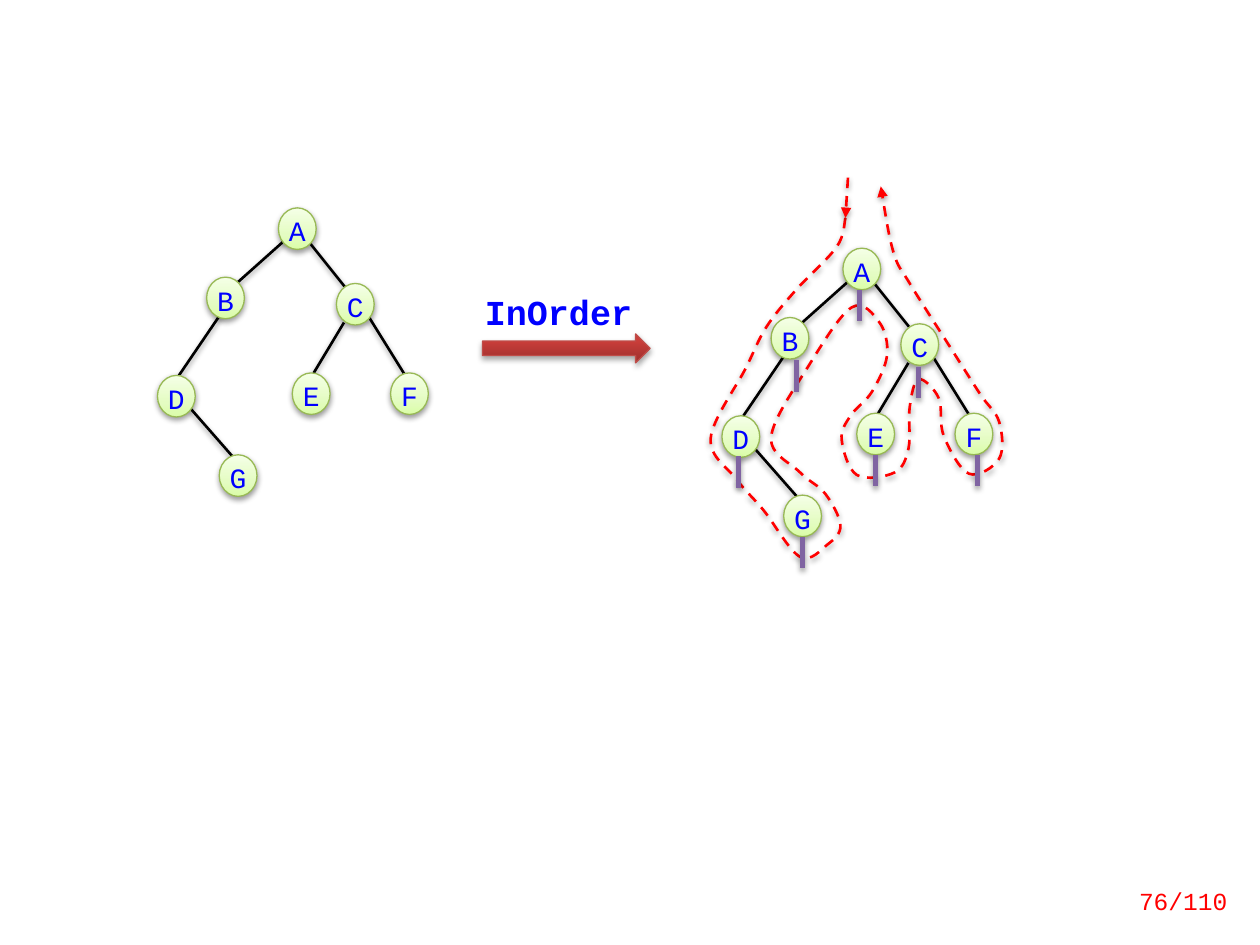
"""Build a slide that shows the inorder walk of a binary tree."""
from copy import deepcopy

from lxml import etree
from pptx import Presentation
from pptx import util as u
from pptx.dml.color import RGBColor
from pptx.enum import dml, shapes, text
from pptx.oxml import parse_xml
from pptx.oxml.ns import nsdecls, qn

UNIT = u.Inches(0.1)
COLS, ROWS = 100, 75
FONT = "Courier New"
BLACK = RGBColor(0, 0, 0)
BLUE = RGBColor(0, 0, 255)
RED = RGBColor(255, 0, 0)
PURPLE = RGBColor(0x80, 0x64, 0xA2)
LIME = RGBColor(0x98, 0xB9, 0x55)
BRICK = RGBColor(0xBF, 0x4C, 0x48)
LIMES = [(0, RGBColor(0xDA, 0xFD, 0xA7)), (0.35, RGBColor(0xE4, 0xFC, 0xC2)),
         (1, RGBColor(0xF5, 0xFF, 0xE7))]
BRICKS = [(0, RGBColor(0x9C, 0x2F, 0x2D)), (0.8, RGBColor(0xCB, 0x3E, 0x3A)),
          (1, RGBColor(0xCE, 0x3B, 0x37))]

NODES = {"A": (22.1, 16.5), "B": (16.4, 22), "C": (26.7, 22.5), "D": (12.5, 29.8),
         "E": (23.2, 29.6), "F": (31, 29.6), "G": (17.4, 36.1)}
EDGES = [(27.3, 25.6, 24.9, 29.6), (15.1, 32.4, 18.7, 36.5),
         (29.3, 25.2, 32.1, 29.7), (17.6, 24.8, 14.2, 29.8),
         (23.8, 18, 18.2, 23), (24.6, 19.3, 27.4, 22.8)]
SHIFT = (44.8, 3.2)
TICKS = [(68.2, 23), (63.2, 28.6), (58.6, 36.2), (63.7, 42.6),
         (69.5, 36.1), (77.6, 36.1), (72.9, 29.1)]
WALK = [(67.1, 17.3), (66.4, 19.6), (63.1, 23.1), (60.8, 26), (59.2, 29.2),
        (56.4, 34.8), (58.5, 38.1), (60.6, 40.5), (63.5, 44.2), (65.7, 43.2),
        (66.7, 41.7), (65.5, 39.2), (63.5, 37.5), (61.2, 34.7), (64.2, 29),
        (67.6, 24.4), (69.8, 25.6), (70.4, 28.2), (69.2, 31.1), (67.5, 33),
        (66.8, 34.9), (68, 37.7), (71, 37.5), (72.1, 35.6), (72.2, 32.3),
        (72.9, 30.1), (74.5, 31.6), (74.9, 34.6), (76.9, 37.6), (79.3, 36.4),
        (79.3, 33.5), (77.8, 31.3), (75.5, 27.7), (72.2, 22.5), (70.9, 20),
        (69.9, 14.8)]


def grid(*vals):
    """Turn grid counts into slide lengths."""
    return [round(val * UNIT) for val in vals]


def shade(item, alpha=38, dist=20000):
    """Give an item a soft shadow that falls downwards."""
    item._element.spPr.append(parse_xml(
        f'<a:effectLst {nsdecls("a")}><a:outerShdw blurRad="40000" dist="{dist}" '
        f'dir="5400000" rotWithShape="0"><a:srgbClr val="000000">'
        f'<a:alpha val="{alpha * 1000}"/></a:srgbClr></a:outerShdw></a:effectLst>'))


def stroke(item, color, width, dash=False, head=False):
    """Set colour, width, dash and arrowhead of a line."""
    line = item.line
    line.color.rgb, line.width = color, u.Pt(width)
    if dash:
        line.dash_style = dml.MSO_LINE.DASH
    if head:
        tip = etree.SubElement(item._element.spPr.find(qn("a:ln")), qn("a:tailEnd"))
        tip.set("type", "triangle")


def blend(item, stops):
    """Fill a shape with a gradient of three stops that runs upwards."""
    fill = item.fill
    fill.gradient()
    fill.gradient_angle = 90
    first = item._element.spPr.find(".//" + qn("a:gs"))
    first.addnext(deepcopy(first))
    for stop, (place, color) in zip(fill.gradient_stops, stops):
        stop.position, stop.color.rgb = place, color


def write(frame, words, size, color, align, bold=False):
    """Put one formatted line of text into a frame."""
    frame.text = words
    para = frame.paragraphs[0]
    para.alignment = align
    font = para.runs[0].font
    font.name, font.size, font.bold = FONT, u.Pt(size), bold
    font.color.rgb = color


def link(group, ends, *style):
    """Draw a straight line between two grid points."""
    line = group.shapes.add_connector(shapes.MSO_CONNECTOR.STRAIGHT, *grid(*ends))
    stroke(line, *style)
    shade(line)


def node(group, name, left, top):
    """Draw one lettered tree node."""
    ball = group.shapes.add_shape(shapes.MSO_SHAPE.OVAL, *grid(left, top, 3, 3.3))
    blend(ball, LIMES)
    stroke(ball, LIME, 0.75)
    shade(ball)
    frame = ball.text_frame
    frame.margin_left = frame.margin_right = frame.margin_top = frame.margin_bottom = 0
    frame.vertical_anchor = text.MSO_ANCHOR.TOP
    write(frame, name, 16, BLUE, text.PP_ALIGN.CENTER)


def tree(slide, right=0, down=0):
    """Draw the whole tree, moved by a number of columns and rows."""
    group = slide.shapes.add_group_shape()
    for x1, y1, x2, y2 in EDGES:
        link(group, (x1 + right, y1 + down, x2 + right, y2 + down), BLACK, 1.5)
    for name, (left, top) in NODES.items():
        node(group, name, left + right, top + down)
    return group


def curve(group, spots):
    """Draw a dashed smooth curve through the grid points."""
    spots = [grid(*spot) for spot in spots]
    build = group.shapes.build_freeform(*spots[0])
    build.add_line_segments(spots[1:], close=False)
    item = build.convert_to_shape()
    item.fill.background()
    stroke(item, RED, 1.5, True, True)
    shade(item)
    full = [spots[0], *spots, spots[-1]]
    parts = list(item._element.iter(qn("a:lnTo")))
    for part, a, b, c, d in zip(parts, full, full[1:], full[2:], full[3:]):
        bend = etree.Element(qn("a:cubicBezTo"))
        near = [q + (r - p) / 6 for p, q, r in zip(a, b, c)]
        far = [q - (r - p) / 6 for p, q, r in zip(b, c, d)]
        for x, y in (near, far, c):
            etree.SubElement(bend, qn("a:pt"), x=str(round(x - item.left)),
                             y=str(round(y - item.top)))
        part.getparent().replace(part, bend)


def arrow(slide):
    """Draw the block arrow between the trees."""
    item = slide.shapes.add_shape(shapes.MSO_SHAPE.RIGHT_ARROW,
                                  *grid(38.3, 26.5, 13.3, 2.3))
    blend(item, BRICKS)
    stroke(item, BRICK, 0.75)
    shade(item, 35, 23000)


def label(slide, spot, *style):
    """Add a text box and return its frame."""
    frame = slide.shapes.add_textbox(*grid(*spot)).text_frame
    frame.word_wrap = True
    write(frame, *style)
    return frame


def main():
    """Build and save the slide."""
    deck = Presentation()
    deck.slide_width, deck.slide_height = grid(COLS, ROWS)
    slide = deck.slides.add_slide(deck.slide_layouts[6])
    tree(slide)
    arrow(slide)
    label(slide, (37.5, 22.6, 14.8, 4.4), "InOrder", 20, BLUE, text.PP_ALIGN.LEFT, True)
    group = tree(slide, *SHIFT)
    curve(group, WALK)
    link(group, (67.3, 14.1, 67.1, 17.3), RED, 1.5, True, True)
    for col, row in TICKS:
        link(group, (col, row, col, row + 2.5), PURPLE, 3)
    page = label(slide, (87, 69.5, 11.4, 4), "76/110", 14, RED, text.PP_ALIGN.RIGHT)
    page.vertical_anchor = text.MSO_ANCHOR.MIDDLE
    deck.save("out.pptx")


if __name__ == "__main__":
    main()
